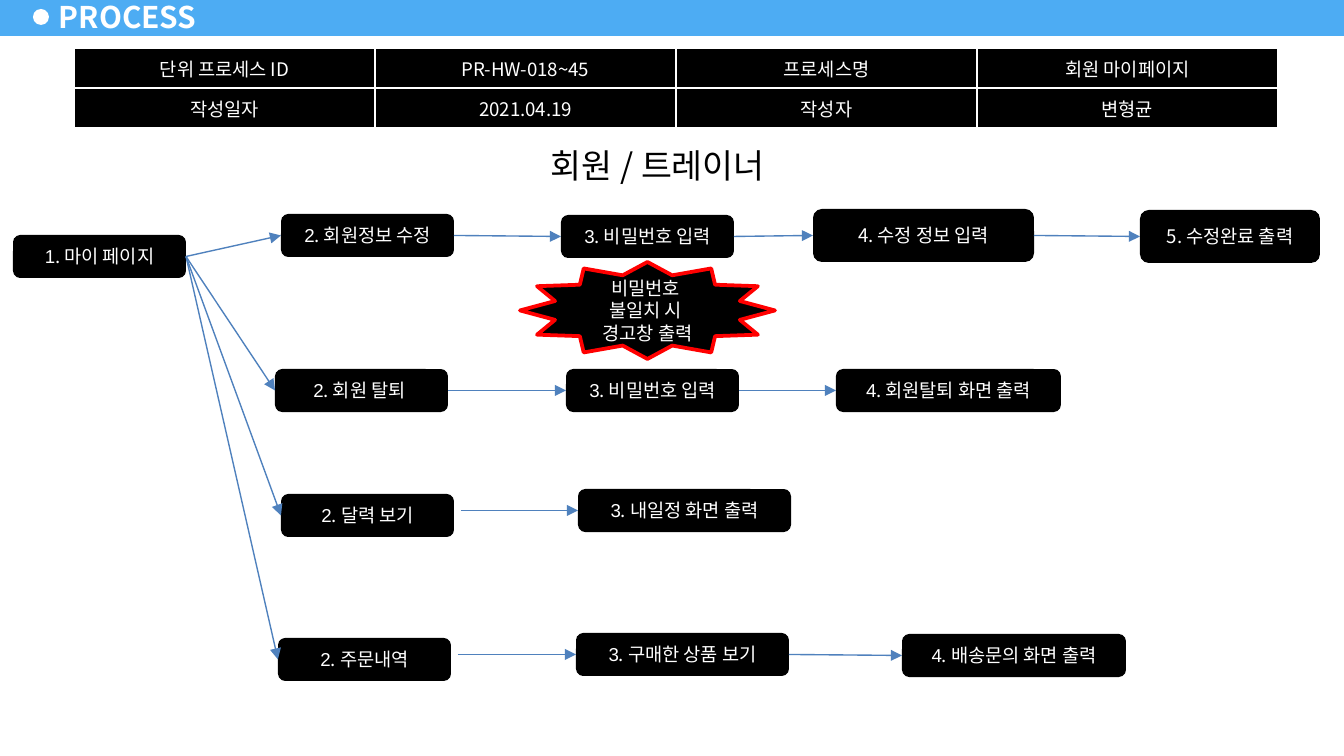
from lxml import etree
from pptx import Presentation
from pptx.dml.color import RGBColor
from pptx.enum.shapes import MSO_CONNECTOR, MSO_SHAPE
from pptx.enum.text import MSO_ANCHOR, PP_ALIGN
from pptx.oxml.ns import qn
from pptx.util import Emu, Pt

STRAIGHT = MSO_CONNECTOR.STRAIGHT
RECT, OVAL = MSO_SHAPE.RECTANGLE, MSO_SHAPE.OVAL
ROUND, STAR = MSO_SHAPE.ROUNDED_RECTANGLE, MSO_SHAPE.STAR_12_POINT
LEFT, CENTER = PP_ALIGN.LEFT, PP_ALIGN.CENTER
TOP, MIDDLE = MSO_ANCHOR.TOP, MSO_ANCHOR.MIDDLE
RIGHT_SIDE, LEFT_SIDE = 3, 1

PX = 914400 / 134.4
KR, LATIN = "Noto Sans CJK KR", "Arial"
COLORS = {"band": "4DACF3", "white": "FFFFFF", "black": "000000",
          "warning": "FF0000", "arrow": "4F81BD"}

# Content
TABLE = [["단위 프로세스 ID", "PR-HW-018~45", "프로세스명", "회원 마이페이지"],
         ["작성일자", "2021.04.19", "작성자", "변형균"]]
WARNING = ["비밀번호 ", "불일치 시 ", "경고창 출력"]
START = ("1", ". 마이 페이지", KR, (13, 235, 173, 43))
# Each flow: gap before its first arrow, then steps (number, label, number font, box)
FLOWS = [
    (0, [("2", ". 회원정보 수정", LATIN, (281, 214, 173, 43)),
         ("3", ". 비밀번호 입력", LATIN, (561, 215, 173, 43)),
         ("4", ". 수정 정보 입력", KR, (813, 209, 221, 53)),
         ("5", ". 수정완료 출력", KR, (1140, 210, 180, 53))]),
    (0, [("2", ". 회원 탈퇴 ", LATIN, (275, 369, 173, 43)),
         ("3", ". 비밀번호 입력", LATIN, (566, 369, 173, 43)),
         ("4", ". 회원탈퇴 화면 출력", LATIN, (836, 369, 225, 43))]),
    (7, [("2", ". 달력 보기", LATIN, (281, 494, 173, 43)),
         ("3", ". 내일정 화면 출력", LATIN, (578, 489, 213, 43))]),
    (7, [("2", ". 주문내역", LATIN, (278, 638, 173, 43)),
         ("3", ". 구매한 상품 보기", LATIN, (576, 633, 213, 43)),
         ("4", ". 배송문의 화면 출력", LATIN, (902, 634, 224, 43))]),
]
START = ("1", ". 마이 페이지", LATIN, START[3])


def px(n):
    return Emu(round(n * PX))


def rgb(name):
    return RGBColor.from_string(COLORS[name])


def add_run(p, text, size, color, font=KR, bold=False):
    r = p.add_run()
    r.text = text
    r.font.size, r.font.bold, r.font.name = Pt(size), bold, font
    r.font.color.rgb = rgb(color)
    ea = etree.SubElement(r.font._element, qn("a:ea"))
    ea.set("typeface", KR)


def add_box(shapes, kind, box, fill, line=None):
    sp = shapes.add_shape(kind, *map(px, box))
    sp.shadow.inherit = False
    sp.fill.solid()
    sp.fill.fore_color.rgb = rgb(fill)
    if line:
        sp.line.color.rgb = rgb(line)
        sp.line.width = Pt(2)
    else:
        sp.line.fill.background()
    return sp


def set_frame(tf, anchor, align, margins, wrap=True):
    tf.word_wrap, tf.vertical_anchor = wrap, anchor
    tf.margin_left = tf.margin_right = px(margins[0])
    tf.margin_top = tf.margin_bottom = px(margins[1])
    tf.paragraphs[0].alignment = align
    return tf.paragraphs[0]


def add_step(shapes, step):
    number, label, font, box = step
    sp = add_box(shapes, ROUND, box, "black")
    p = set_frame(sp.text_frame, MIDDLE, CENTER, (13, 7))
    add_run(p, number, 10, "white", font)
    add_run(p, label, 10, "white")
    return sp


def add_arrow(shapes, source, target, gap=0):
    end_y = target.top + target.height // 2
    cxn = shapes.add_connector(STRAIGHT, source.left + source.width + px(gap),
                               end_y, target.left, end_y)
    if not gap:
        cxn.begin_connect(source, RIGHT_SIDE)
    cxn.end_connect(target, LEFT_SIDE)
    cxn.line.color.rgb = rgb("arrow")
    cxn.line.width = Pt(0.75)
    etree.SubElement(cxn.line._get_or_add_ln(), qn("a:tailEnd")).set("type", "triangle")
    etree.SubElement(cxn._element.spPr, qn("a:effectLst"))


def add_border(cell):
    tcPr = cell._tc.get_or_add_tcPr()
    for i, side in enumerate(("lnL", "lnR", "lnT", "lnB")):
        ln = etree.Element(qn("a:" + side), w=str(Pt(1)))
        fill = etree.SubElement(ln, qn("a:solidFill"))
        etree.SubElement(fill, qn("a:srgbClr")).set("val", COLORS["white"])
        tcPr.insert(i, ln)


def main():
    prs = Presentation()
    prs.slide_width, prs.slide_height = px(1344), px(756)
    s = prs.slides.add_slide(prs.slide_layouts[6])
    shapes = s.shapes

    # Header band
    add_box(shapes, RECT, (0, -2, 1344, 38), "band")
    add_box(shapes, OVAL, (33, 9, 16, 16), "white")
    title = shapes.add_textbox(*map(px, (47, -5, 164, 43)))
    p = set_frame(title.text_frame, MIDDLE, LEFT, (12, 6), wrap=False)
    add_run(p, "PROCESS", 16, "white", bold=True)

    # Document table
    frame = shapes.add_table(len(TABLE), len(TABLE[0]), *map(px, (74, 48, 1204, 80)))
    for row, texts in zip(frame.table.rows, TABLE):
        for cell, text in zip(row.cells, texts):
            cell.fill.solid()
            cell.fill.fore_color.rgb = rgb("black")
            cell.vertical_anchor = MIDDLE
            p = cell.text_frame.paragraphs[0]
            p.alignment = CENTER
            add_run(p, text, 10, "white")
            add_border(cell)

    # Subject
    subject = add_box(shapes, RECT, (538, 138, 278, 54), "white")
    p = set_frame(subject.text_frame, TOP, LEFT, (13, 7))
    add_run(p, "회원 / 트레이너", 18, "black")

    # Flows
    start = add_step(shapes, START)
    for gap, steps in FLOWS:
        boxes = [add_step(shapes, step) for step in steps]
        add_arrow(shapes, start, boxes[0])
        for i, (source, target) in enumerate(zip(boxes, boxes[1:])):
            add_arrow(shapes, source, target, gap if i == 0 else 0)

    # Password warning
    star = add_box(shapes, STAR, (520, 262, 255, 97), "black", "warning")
    p = set_frame(star.text_frame, MIDDLE, CENTER, (0, 0))
    for i, text in enumerate(WARNING):
        if i:
            p.add_line_break()
        add_run(p, text, 10, "white")

    prs.save("out.pptx")


if __name__ == "__main__":
    main()
